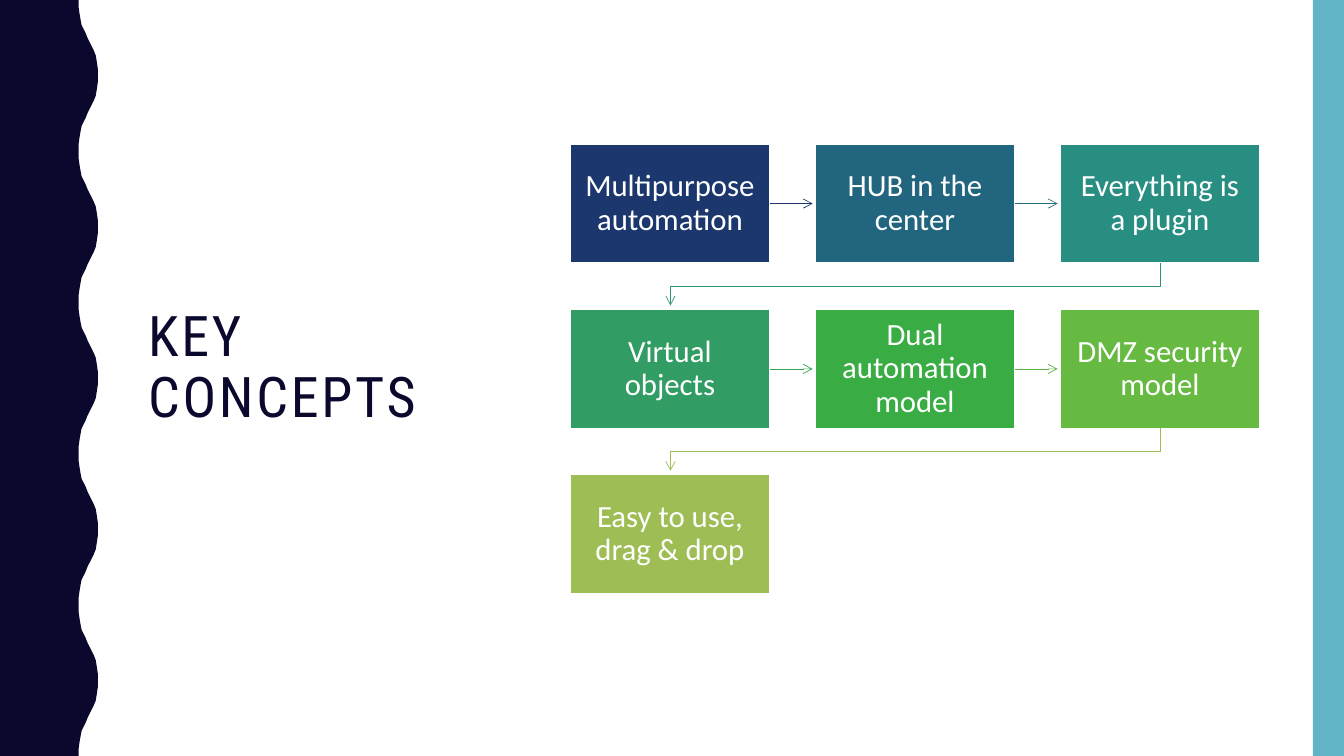
from dataclasses import dataclass

from lxml import etree
from pptx import Presentation
from pptx.dml.color import RGBColor
from pptx.enum.shapes import MSO_CONNECTOR, MSO_SHAPE
from pptx.enum.text import MSO_ANCHOR, PP_ALIGN
from pptx.oxml.ns import qn
from pptx.util import Pt

RECTANGLE = MSO_SHAPE.RECTANGLE
STRAIGHT = MSO_CONNECTOR.STRAIGHT
MIDDLE = MSO_ANCHOR.MIDDLE
LEFT, CENTER = PP_ALIGN.LEFT, PP_ALIGN.CENTER

TITLE = "KEY CONCEPTS"
# text, tile fill, colour of the arrow to the next tile
CONCEPTS = [
    ("Multipurpose automation", "1B376E", "1B376E"),
    ("HUB in the center", "22657E", "236F82"),
    ("Everything is a plugin", "298E82", "2C9477"),
    ("Virtual objects", "319D65", "36A652"),
    ("Dual automation model", "39AC44", "5BB740"),
    ("DMZ security model", "66BA42", "9EBE55"),
    ("Easy to use, drag & drop", "9EBE55", None),
]


@dataclass(frozen=True)
class Theme:
    navy: str = "0B082E"
    sky: str = "62B4C6"
    white: str = "FFFFFF"
    title_font: str = "Roboto Condensed"
    body_font: str = "Calibri"
    title_size: int = 40
    body_size: int = 22
    title_tracking: int = 200
    line_spacing: float = 0.9
    border: float = 1
    arrow: float = 0.5


THEME = Theme()
EMU_PER_PX = 9144  # 100 px to the inch
SLIDE_W, SLIDE_H = 1333, 750
STRIPE_W = 31
TITLE_BOX = (137, 70, 370, 592)

COLUMNS = 3
GRID_X, GRID_Y = 566, 143
TILE_W, TILE_H = 197, 118
PITCH_X, PITCH_Y = 243, 164
INSET = 10
ARROW_LENGTH, ARROW_GAP, ELBOW_DROP = 42, 1, 23

WAVE_PERIOD = 150
HALF_WAVE = [(78, 0), (78, 7), (79, 14), (80, 20), (81, 25), (83, 29), (85, 33),
             (87, 38), (89, 42), (91, 46), (93, 50), (95, 55), (96, 61), (97, 68),
             (97, 75)]


def px(*lengths):
    return [length * EMU_PER_PX for length in lengths]


def rgb(value):
    return RGBColor.from_string(value)


def paint(shape, fill=None, line=None, width=0):
    """Set fill and outline; None means there is none."""
    shape.shadow.inherit = False
    for part, color in ((shape.fill, fill), (shape.line.fill, line)):
        if color:
            part.solid()
            part.fore_color.rgb = rgb(color)
        else:
            part.background()
    if line:
        shape.line.width = Pt(width)


def write(shape, text, font_format, align, inset=None):
    frame = shape.text_frame
    frame.word_wrap = True
    frame.vertical_anchor = MIDDLE
    if inset is not None:
        for side in ("left", "right", "top", "bottom"):
            setattr(frame, f"margin_{side}", px(inset)[0])
    para = frame.paragraphs[0]
    para.alignment = align
    para.line_spacing = THEME.line_spacing
    span = para.add_run()
    span.text = text
    color = font_format["color"]
    for name in ("name", "size"):
        setattr(span.font, name, font_format[name])
    span.font.color.rgb = rgb(color)
    return span


def draw_outline(page, points, close):
    builder = page.shapes.build_freeform(*points[0], scale=EMU_PER_PX)
    builder.add_line_segments(points[1:], close=close)
    return builder.convert_to_shape()


def add_arrowhead(shape):
    line = shape.line._get_or_add_ln()
    etree.SubElement(line, qn("a:tailEnd"), type="arrow")


def add_wave(page):
    wave = HALF_WAVE + [(x, WAVE_PERIOD - y) for x, y in HALF_WAVE[-2::-1]]
    edge = [(x, top + y) for top in range(0, SLIDE_H, WAVE_PERIOD) for x, y in wave]
    paint(draw_outline(page, [(0, 0), *edge, (0, SLIDE_H)], True), THEME.navy)


def add_straight_arrow(page, x, y, color):
    arrow = page.shapes.add_connector(STRAIGHT, *px(x, y, x + ARROW_LENGTH, y))
    arrow.line.color.rgb = rgb(color)
    arrow.line.width = Pt(THEME.arrow)
    etree.SubElement(arrow._element.spPr, qn("a:effectLst"))
    add_arrowhead(arrow)


def add_row_arrow(page, x, y, color):
    """Lead from under the last tile of a row to the first tile of the next."""
    end_x = GRID_X + (TILE_W + 1) // 2
    turn_y = y + ELBOW_DROP
    points = [(x, y), (x, turn_y), (end_x, turn_y), (end_x, y + ARROW_LENGTH)]
    arrow = draw_outline(page, points, False)
    paint(arrow, line=color, width=THEME.arrow)
    add_arrowhead(arrow)


def add_concepts(page):
    tile_font = {"name": THEME.body_font, "size": Pt(THEME.body_size),
                 "color": THEME.white}
    for index, (text, fill, arrow_color) in enumerate(CONCEPTS):
        row, column = divmod(index, COLUMNS)
        x, y = GRID_X + column * PITCH_X, GRID_Y + row * PITCH_Y
        tile = page.shapes.add_shape(RECTANGLE, *px(x, y, TILE_W, TILE_H))
        paint(tile, fill, THEME.white, THEME.border)
        write(tile, text, tile_font, CENTER, INSET)
        if not arrow_color:
            continue
        if column < COLUMNS - 1:
            add_straight_arrow(page, x + TILE_W + ARROW_GAP, y + TILE_H // 2, arrow_color)
        else:
            add_row_arrow(page, x + (TILE_W + 1) // 2, y + TILE_H, arrow_color)


def main():
    deck = Presentation()
    deck.slide_width, deck.slide_height = px(SLIDE_W, SLIDE_H)
    page = deck.slides.add_slide(deck.slide_layouts[6])
    add_wave(page)
    stripe = page.shapes.add_shape(
        RECTANGLE, *px(SLIDE_W - STRIPE_W, 0, STRIPE_W, SLIDE_H))
    paint(stripe, THEME.sky)
    title_font = {"name": THEME.title_font, "size": Pt(THEME.title_size),
                  "color": THEME.navy}
    title = write(page.shapes.add_textbox(*px(*TITLE_BOX)), TITLE, title_font, LEFT)
    title.font._element.set("spc", str(THEME.title_tracking))
    add_concepts(page)
    deck.save("out.pptx")


if __name__ == "__main__":
    main()
